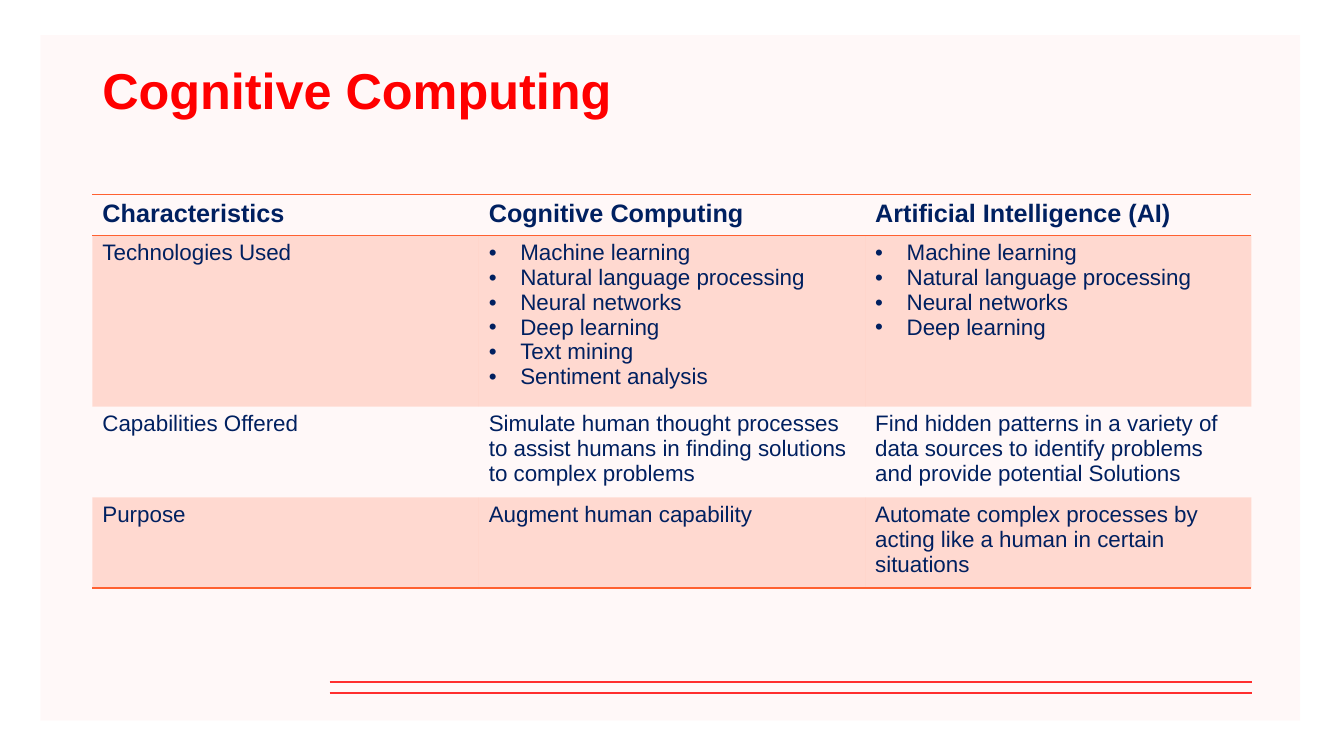
from lxml import etree
from pptx import Presentation
from pptx.dml.color import RGBColor
from pptx.enum import shapes, text
from pptx.oxml import ns
from pptx.util import Pt

# Content
TITLE = "Cognitive Computing"
SHARED_TECH = ["Machine learning", "Natural language processing",
               "Neural networks", "Deep learning"]
HEADER = ("Characteristics", "Cognitive Computing", "Artificial Intelligence (AI)")
# A list in a cell is shown as bullets
COMPARISON = [
    HEADER,
    ("Technologies Used", SHARED_TECH + ["Text mining", "Sentiment analysis"], SHARED_TECH),
    ("Capabilities Offered",
     "Simulate human thought processes to assist humans in finding solutions "
     "to complex problems",
     "Find hidden patterns in a variety of data sources to identify problems "
     "and provide potential Solutions"),
    ("Purpose", "Augment human capability",
     "Automate complex processes by acting like a human in certain situations"),
]
ROW_HEIGHTS = (29.2, 113.5, 60.7, 60.7)

# Layout and colours
LEFT, WIDTH, TABLE_TOP = 66, 828, 138.8
RULE_LEFT, RULE_RIGHT, RULE_TOPS = 235.4, 894.2, (486.9, 495)
BULLET_INDENT = 22.5
PANEL, RED, RULE_RED, NAVY, ORANGE = "FFF3F3", "FF0000", "FF2E2E", "002060", "FF6131"


def color(hex_code):
    return RGBColor.from_string(hex_code)


def add_child(parent, tag, **attributes):
    return etree.SubElement(parent, ns.qn(tag), attributes)


def fill_with(fill, hex_code, alpha):
    fill.solid()
    fill.fore_color.rgb = color(hex_code)
    shade = fill._xPr.find(ns.qn("a:solidFill"))[0]
    add_child(shade, "a:alpha", val=str(alpha * 1000))


def write(frame, content, size, hex_code, bold=False, spacing=None):
    bulleted = isinstance(content, list)
    for i, line in enumerate(content if bulleted else [content]):
        paragraph = frame.add_paragraph() if i else frame.paragraphs[0]
        paragraph.alignment = text.PP_ALIGN.LEFT
        if spacing:
            paragraph.line_spacing = spacing
        if bulleted:
            properties = paragraph._p.get_or_add_pPr()
            properties.set("marL", str(Pt(BULLET_INDENT)))
            properties.set("indent", str(-Pt(BULLET_INDENT)))
            add_child(properties, "a:buFont", typeface="Arial")
            add_child(properties, "a:buChar", char="•")
        run = paragraph.add_run()
        run.text = line
        run.font.name = "Arial"
        run.font.size = Pt(size)
        run.font.bold = bold
        run.font.color.rgb = color(hex_code)


def set_borders(cell, ruled_sides):
    properties = cell._tc.get_or_add_tcPr()
    for place, side in enumerate("LRTB"):
        border = etree.Element(ns.qn("a:ln" + side), w=str(Pt(1)))
        if side in ruled_sides:
            add_child(add_child(border, "a:solidFill"), "a:srgbClr", val=ORANGE)
        else:
            add_child(border, "a:noFill")
        properties.insert(place, border)


deck = Presentation()
deck.slide_width, deck.slide_height = Pt(960), Pt(540)
slide = deck.slides.add_slide(deck.slide_layouts[6])

# Background panel
panel = slide.shapes.add_shape(shapes.MSO_SHAPE.RECTANGLE, Pt(28.8), Pt(25.2), Pt(900), Pt(489.6))
panel.shadow.inherit = False
panel.line.fill.background()
fill_with(panel.fill, PANEL, 50)

# Double rule at the foot
for top in RULE_TOPS:
    rule = slide.shapes.add_connector(shapes.MSO_CONNECTOR.STRAIGHT,
                                      Pt(RULE_LEFT), Pt(top), Pt(RULE_RIGHT), Pt(top))
    rule.line.color.rgb = color(RULE_RED)
    rule.line.width = Pt(1.5)
    add_child(rule._element.spPr, "a:effectLst")

# Title
title = slide.shapes.add_textbox(Pt(LEFT), Pt(23.8), Pt(WIDTH), Pt(85.7)).text_frame
title.word_wrap = True
title.vertical_anchor = text.MSO_ANCHOR.MIDDLE
write(title, TITLE, size=36, hex_code=RED, bold=True, spacing=0.9)

# Comparison table
last = len(COMPARISON) - 1
table = slide.shapes.add_table(len(COMPARISON), len(HEADER), Pt(LEFT), Pt(TABLE_TOP),
                               Pt(WIDTH), Pt(sum(ROW_HEIGHTS))).table
table.first_row = table.horz_banding = False
for r, (row, height) in enumerate(zip(COMPARISON, ROW_HEIGHTS)):
    table.rows[r].height = Pt(height)
    ruled_sides = {0: "TB", 1: "T", last: "B"}.get(r, "")
    for c, content in enumerate(row):
        cell = table.cell(r, c)
        write(cell.text_frame, content, size=16 if r else 18, hex_code=NAVY, bold=r == 0)
        if r % 2:
            fill_with(cell.fill, ORANGE, 20)
        else:
            cell.fill.background()
        set_borders(cell, ruled_sides)

deck.save("out.pptx")
